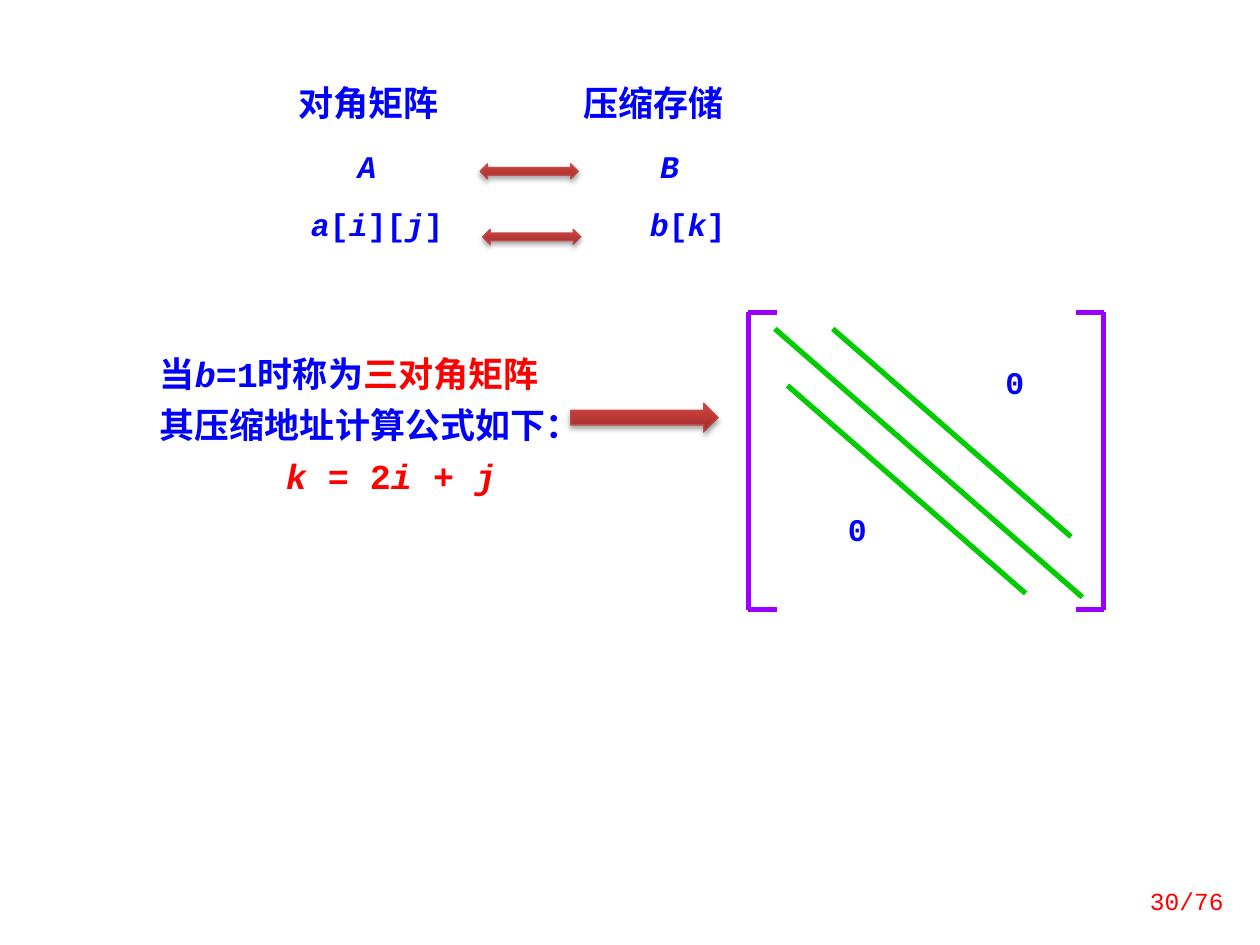
from lxml import etree
from pptx import Presentation
from pptx import util as u
from pptx.dml.color import RGBColor
from pptx.enum import shapes, text
from pptx.oxml import ns

FONT = "Courier New"
COLORS = {
    "blue": "0000FF",
    "red": "FF0000",
    "purple": "9900FF",
    "green": "00CC00",
    "arrow_dark": "9C2F2D",
    "arrow_light": "CB3E3A",
    "arrow_edge": "BF4C48",
    "shadow": "000000",
}


def rgb(name):
    return RGBColor.from_string(COLORS[name])


def add_xml(parent, tag, **attributes):
    return etree.SubElement(parent, ns.qn(tag), attributes)


def set_tabs(paragraph, stops):
    tab_list = add_xml(paragraph._p.get_or_add_pPr(), "a:tabLst")
    for stop in stops:
        add_xml(tab_list, "a:tab", pos=str(u.Inches(stop)), algn="l")


def add_text(slide, box, lines, size, color="blue", bold=True, spacing=0.8,
             align=text.PP_ALIGN.LEFT, anchor=text.MSO_ANCHOR.TOP):
    frame = slide.shapes.add_textbox(*map(u.Inches, box)).text_frame
    frame.word_wrap = True
    frame.vertical_anchor = anchor
    for index, pieces in enumerate(lines):
        paragraph = frame.add_paragraph() if index else frame.paragraphs[0]
        paragraph.alignment = align
        paragraph.line_spacing = spacing
        if index:
            paragraph.space_before = u.Pt(size / 2)
        for words, italic, *accent in pieces:
            run = paragraph.add_run()
            run.text = words
            run.font.name = FONT
            run.font.size = u.Pt(size)
            run.font.bold = bold
            run.font.italic = italic
            run.font.color.rgb = rgb(accent[0] if accent else color)
    return frame


def add_line(slide, start, end, color):
    line = slide.shapes.add_connector(
        shapes.MSO_CONNECTOR.STRAIGHT, *map(u.Inches, (*start, *end)))
    line.line.color.rgb = rgb(color)
    line.line.width = u.Pt(3)
    add_xml(line._element.spPr, "a:effectLst")


def add_arrow(slide, kind, box):
    arrow = slide.shapes.add_shape(kind, *map(u.Inches, box))
    arrow.fill.gradient()
    arrow.fill.gradient_angle = 90
    stops = zip(arrow.fill.gradient_stops, ("arrow_dark", "arrow_light"), (0, 0.8))
    for stop, color, position in stops:
        stop.color.rgb = rgb(color)
        stop.position = position
    arrow.line.color.rgb = rgb("arrow_edge")
    arrow.line.width = u.Pt(0.75)
    arrow.shadow.inherit = False
    effects = arrow._element.spPr.find(ns.qn("a:effectLst"))
    shadow = add_xml(effects, "a:outerShdw", blurRad=str(u.Pt(3.1)),
                     dist=str(u.Pt(1.8)), dir="5400000", rotWithShape="0")
    shade = add_xml(shadow, "a:srgbClr", val=COLORS["shadow"])
    add_xml(shade, "a:alpha", val="35000")


def add_mapping(slide):
    for heading, left in (("对角矩阵", 2.27), ("压缩存储", 4.53)):
        add_text(slide, (left, 0.66, 1.48, 0.37), [[(heading, False)]], 20)
    names = [("\tA\tB", True)]
    elements = [("\ta", True), ("[", False), ("i", True), ("][", False),
                ("j", True), ("]\t", False), ("b", True), ("[", False),
                ("k", True), ("]", False)]
    mapping = add_text(slide, (2.19, 1.09, 3.86, 0.92), [names, elements],
                       18, spacing=1.1)
    for paragraph, stops in zip(mapping.paragraphs, ((0.55, 2.95), (0.18, 2.87))):
        set_tabs(paragraph, stops)
    for left, top in ((3.81, 1.3), (3.83, 1.82)):
        add_arrow(slide, shapes.MSO_SHAPE.LEFT_RIGHT_ARROW, (left, top, 0.78, 0.12))


def add_explanation(slide):
    definition = [("当", False), ("b=", True), ("1时称为", False),
                  ("三对角矩阵", False, "red")]
    lead_in = [("其压缩地址计算公式如下：", False)]
    formula = [("k ", True, "red"), ("= 2", False, "red"), ("i ", True, "red"),
               ("+ ", False, "red"), ("j", True, "red")]
    explanation = add_text(slide, (1.17, 2.81, 3.44, 1.25),
                           [definition, lead_in, formula], 20)
    indent = explanation.paragraphs[-1]._p.get_or_add_pPr()
    indent.set("marL", str(u.Inches(1)))
    add_arrow(slide, shapes.MSO_SHAPE.RIGHT_ARROW, (4.53, 3.2, 1.17, 0.23))


def add_matrix(slide):
    top, bottom = 2.48, 4.84
    for side, tip in ((5.94, 6.17), (8.76, 8.54)):
        add_line(slide, (side, top), (side, bottom), "purple")
        for y in (top, bottom):
            add_line(slide, (side, y), (tip, y), "purple")
    diagonals = (((6.15, 2.61), (8.59, 4.74)),
                 ((6.61, 2.61), (8.5, 4.26)),
                 ((6.25, 3.06), (8.14, 4.71)))
    for start, end in diagonals:
        add_line(slide, start, end, "green")
    for left, y in ((6.41, 4.06), (7.66, 2.89)):
        add_text(slide, (left, y, 0.79, 0.34), [[("0", False)]], 18,
                 align=text.PP_ALIGN.CENTER)


def main():
    deck = Presentation()
    deck.slide_width, deck.slide_height = u.Inches(10), u.Inches(7.5)
    slide = deck.slides.add_slide(deck.slide_layouts[6])
    add_mapping(slide)
    add_explanation(slide)
    add_matrix(slide)
    add_text(slide, (8.83, 6.95, 0.98, 0.4), [[("30/76", False)]], 14, "red",
             bold=False, spacing=1.0, align=text.PP_ALIGN.RIGHT,
             anchor=text.MSO_ANCHOR.MIDDLE)
    deck.save("out.pptx")


if __name__ == "__main__":
    main()
